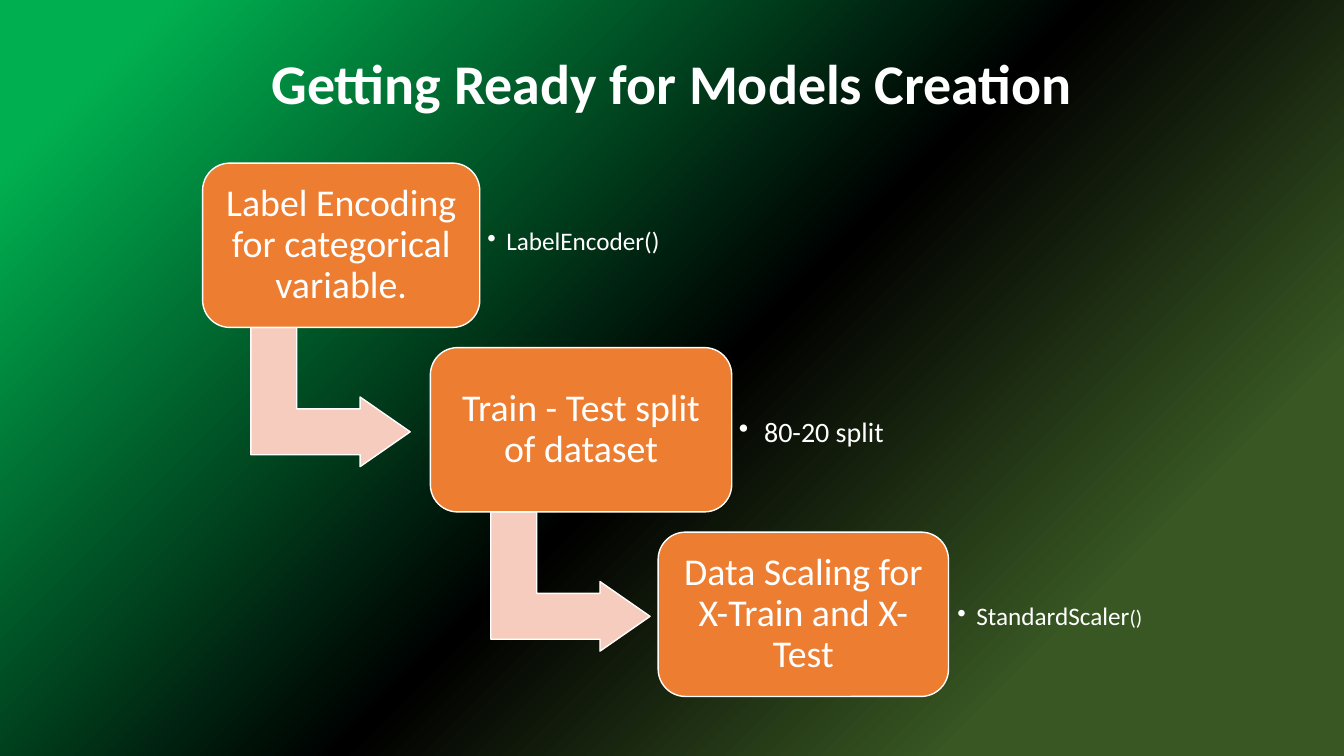
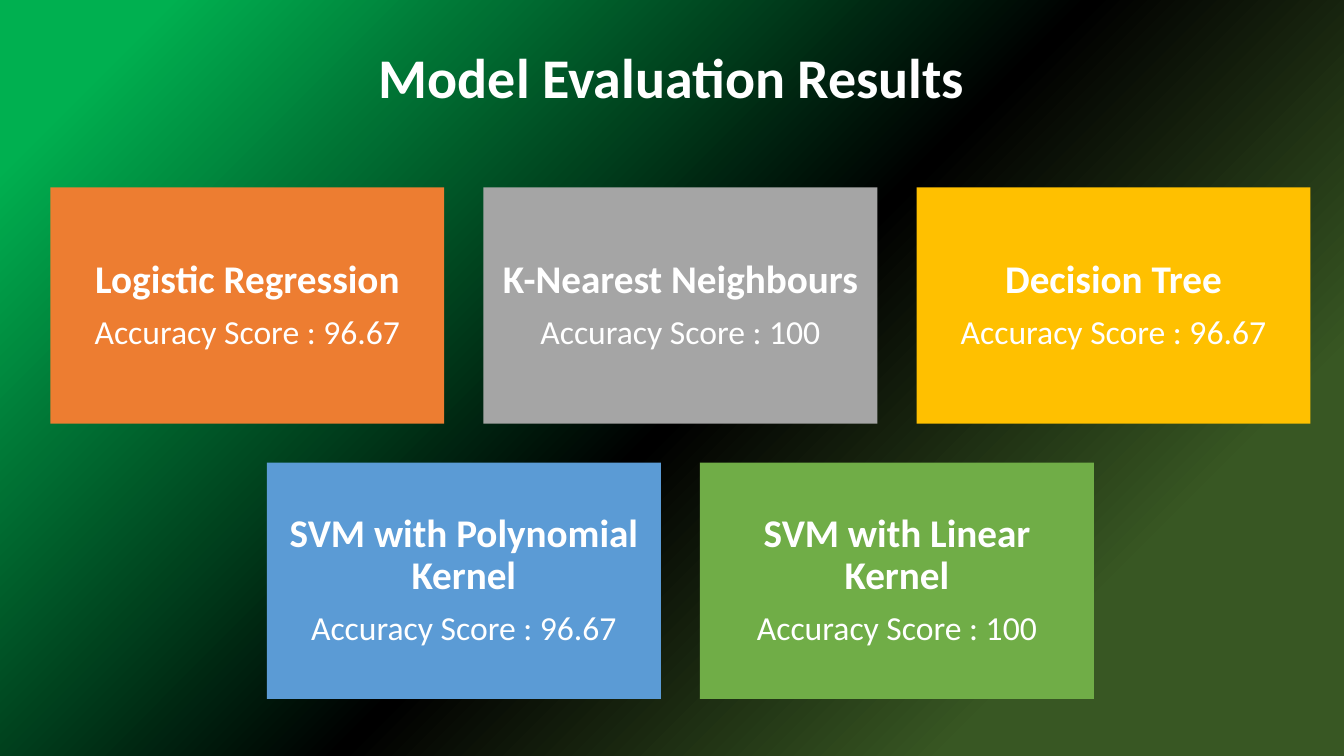
from copy import deepcopy
from dataclasses import dataclass

from lxml import etree
from pptx import Presentation
from pptx.dml.color import RGBColor
from pptx.enum.shapes import MSO_SHAPE
from pptx.enum.text import MSO_ANCHOR, MSO_AUTO_SIZE, PP_ALIGN
from pptx.oxml.ns import qn
from pptx.util import Pt

ROUNDED = MSO_SHAPE.ROUNDED_RECTANGLE
RECTANGLE = MSO_SHAPE.RECTANGLE
BENT_ARROW = MSO_SHAPE.BENT_UP_ARROW
TOP = MSO_ANCHOR.TOP
MIDDLE = MSO_ANCHOR.MIDDLE
NO_FIT = MSO_AUTO_SIZE.NONE
CENTER = PP_ALIGN.CENTER
LEFT = PP_ALIGN.LEFT
TITLE_ONLY = 5


@dataclass(frozen=True)
class Theme:
    font: str = "Calibri"
    white: str = "FFFFFF"
    orange: str = "ED7D31"
    grey: str = "A5A5A5"
    gold: str = "FFC000"
    blue: str = "5B9BD5"
    green: str = "70AD47"
    arrow: str = "F6CCBE"
    backdrop: tuple = ((0.08, "00B050"), (0.52, "000000"), (0.81, "385723"))
    title_size: float = 40
    step_size: float = 27
    card_size: float = 28
    score_size: float = 24
    line_spacing: float = 0.9


@dataclass(frozen=True)
class Box:
    left: float
    top: float
    width: float
    height: float

    def points(self):
        return Pt(self.left), Pt(self.top), Pt(self.width), Pt(self.height)


@dataclass(frozen=True)
class Step:
    text: str
    width: float
    note: tuple
    note_box: Box
    note_inset: float
    note_indent: float


THEME = Theme()

STEPS = (
    Step("Label Encoding for categorical variable.", 198,
         (("LabelEncoder()", 18),), Box(0.5, 9.4, 189.4, 95), 5, 13.5),
    Step("Train - Test split of dataset", 215.3,
         (("80-20 split", 20),), Box(-0.5, 13.7, 168.5, 95), 5.6, 18),
    Step("Data Scaling for X-Train and X-Test", 207.4,
         (("StandardScaler", 18), ("()", 15)), Box(1.4, 13.7, 159.8, 95), 5, 13.5),
)

RESULT_ROWS = (
    (("Logistic Regression", "96.67", THEME.orange),
     ("K-Nearest Neighbours", "100", THEME.grey),
     ("Decision Tree", "96.67", THEME.gold)),
    (("SVM with Polynomial Kernel", "96.67", THEME.blue),
     ("SVM with Linear Kernel", "100", THEME.green)),
)


def set_backdrop(master):
    fill = master.background.fill
    fill.gradient()
    fill.gradient_angle = 315
    stop_list = next(master.element.cSld.iter(qn("a:gsLst")))
    stop_list.append(deepcopy(stop_list[0]))
    for stop, (position, color) in zip(fill.gradient_stops, THEME.backdrop):
        stop.position = position
        stop.color.rgb = RGBColor.from_string(color)


def style_span(span, size, bold=False):
    span.font.name = THEME.font
    span.font.size = Pt(size)
    span.font.bold = bold
    span.font.color.rgb = RGBColor.from_string(THEME.white)


def set_frame(frame, inset):
    frame.word_wrap = True
    frame.vertical_anchor = MIDDLE
    frame.margin_left = frame.margin_right = Pt(inset)
    frame.margin_top = frame.margin_bottom = Pt(inset)


def add_title_page(deck, title, box):
    page = deck.slides.add_slide(deck.slide_layouts[TITLE_ONLY])
    holder = page.shapes.title
    holder.left, holder.top, holder.width, holder.height = box.points()
    frame = holder.text_frame
    frame.text = title
    frame.auto_size = NO_FIT
    frame.vertical_anchor = TOP
    para = frame.paragraphs[0]
    para.alignment = CENTER
    style_span(para.runs[0], THEME.title_size, True)
    return page


def add_block(page, kind, box, color, outlined=False):
    block = page.shapes.add_shape(kind, *box.points())
    block.shadow.inherit = False
    block.fill.solid()
    block.fill.fore_color.rgb = RGBColor.from_string(color)
    if outlined:
        block.line.color.rgb = RGBColor.from_string(THEME.white)
        block.line.width = Pt(1)
    else:
        block.line.fill.background()
    return block


def fill_block(block, inset, lines):
    frame = block.text_frame
    set_frame(frame, inset)
    frame.text = "\n".join(text for text, size, bold in lines)
    for para, (text, size, bold) in zip(frame.paragraphs, lines):
        para.alignment = CENTER
        para.line_spacing = THEME.line_spacing
        para.space_after = Pt(round(size * 0.35, 1))
        style_span(para.runs[0], size, bold)


def add_note(page, step, box):
    note = page.shapes.add_textbox(*box.points())
    frame = note.text_frame
    set_frame(frame, step.note_inset)
    para = frame.paragraphs[0]
    properties = para._p.get_or_add_pPr()
    properties.set("marL", str(Pt(step.note_indent)))
    properties.set("indent", str(-Pt(step.note_indent)))
    etree.SubElement(properties, qn("a:buChar")).set("char", "•")
    para.level = 1
    para.alignment = LEFT
    para.line_spacing = THEME.line_spacing
    for text, size in step.note:
        span = para.add_run()
        span.text = text
        style_span(span, size)


def add_step_arrow(page, box):
    width, height = 99.4, 113.8
    center_x = box.left + box.width / 2 - 7.6
    center_y = box.top + box.height + width / 2
    frame = Box(center_x - width / 2, center_y - height / 2, width, height)
    arrow = add_block(page, BENT_ARROW, frame, THEME.arrow, True)
    arrow.rotation = 90
    for index, value in enumerate((0.33, 0.25, 0.36)):
        arrow.adjustments[index] = value


def add_staircase(page, area):
    height = 117.4
    shift_x = 162.7
    shift_y = (area.height - height) / (len(STEPS) - 1)
    for index, step in enumerate(STEPS):
        box = Box(area.left + index * shift_x, area.top + index * shift_y,
                  step.width, height)
        if index < len(STEPS) - 1:
            add_step_arrow(page, box)
        block = add_block(page, ROUNDED, box, THEME.orange, True)
        fill_block(block, 7.9, [(step.text, THEME.step_size, False)])
        place = step.note_box
        add_note(page, step, Box(box.left + box.width + place.left,
                                 box.top + place.top, place.width, place.height))


def add_result_grid(page, area):
    gap = 28
    columns = max(len(row) for row in RESULT_ROWS)
    rows = len(RESULT_ROWS)
    width = (area.width - gap * (columns - 1)) / columns
    height = (area.height - gap * (rows - 1)) / rows
    for row_index, row in enumerate(RESULT_ROWS):
        row_width = len(row) * (width + gap) - gap
        left = area.left + (area.width - row_width) / 2
        top = area.top + row_index * (height + gap)
        for index, (model, score, color) in enumerate(row):
            box = Box(left + index * (width + gap), top, width, height)
            card = add_block(page, RECTANGLE, box, color)
            fill_block(card, 8.4, [
                (model, THEME.card_size, True),
                (f"Accuracy Score : {score}", THEME.score_size, False),
            ])


def main():
    deck = Presentation()
    deck.slide_width, deck.slide_height = Pt(960), Pt(540)
    set_backdrop(deck.slide_master)
    preparation = add_title_page(deck, "Getting Ready for Models Creation",
                                 Box(126.7, 31, 706.3, 55.4))
    add_staircase(preparation, Box(144.7, 116.5, 694, 381))
    results = add_title_page(deck, "Model Evaluation Results",
                             Box(159.1, 26.6, 641.5, 55.4))
    add_result_grid(results, Box(36, 133.9, 900, 365.3))
    deck.save("out.pptx")


if __name__ == "__main__":
    main()
